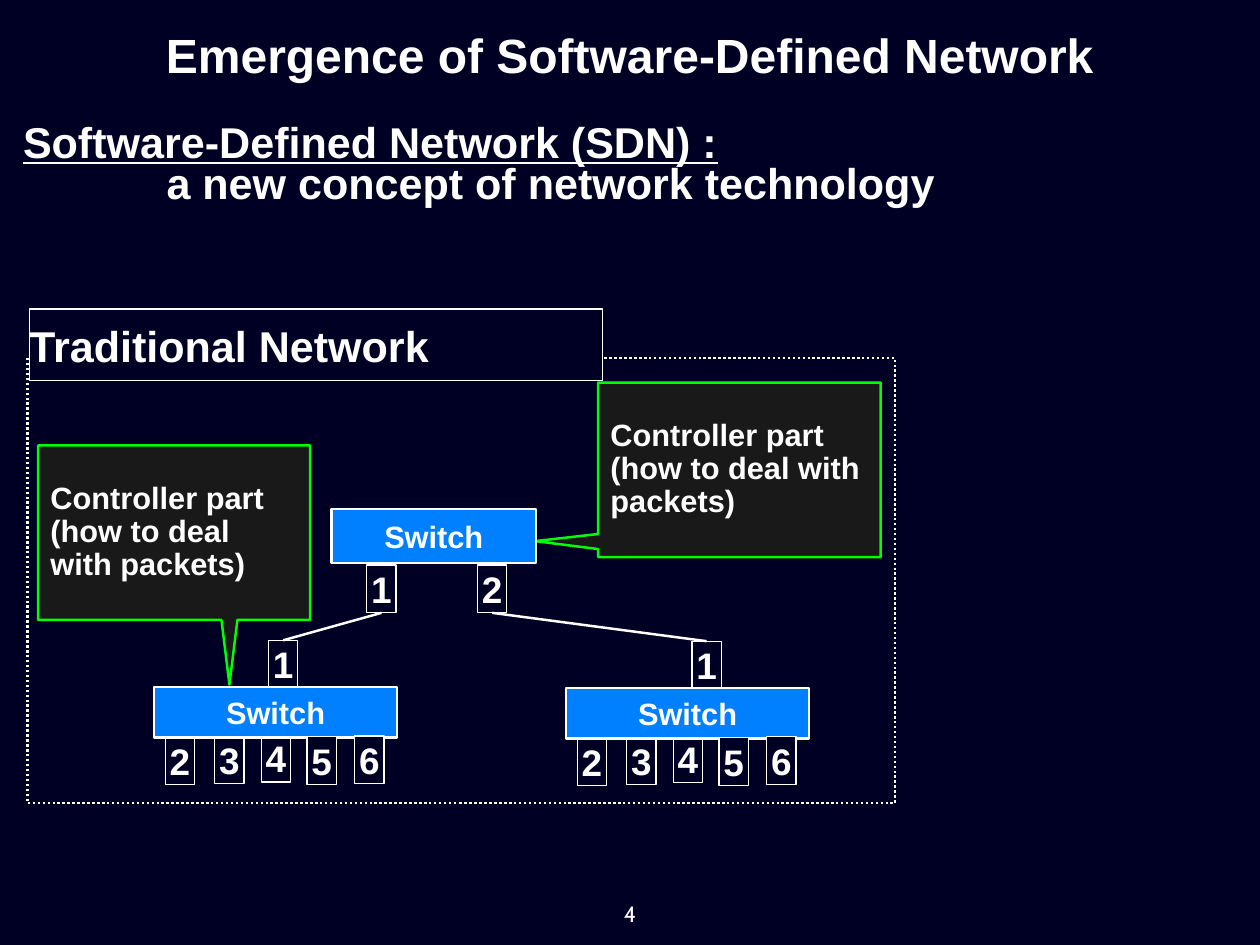
from dataclasses import dataclass

from lxml import etree
from pptx import Presentation
from pptx import util as u
from pptx.dml.color import RGBColor as Rgb
from pptx.enum import dml, shapes, text


@dataclass(frozen=True)
class Theme:
    back: str = "000024"
    box: str = "000025"
    switch: str = "0080FF"
    note: str = "191919"
    edge: str = "00FF00"
    ink: str = "FFFFFF"
    face: str = "Arial"
    title: int = 39
    head: int = 35
    port: int = 30
    body: int = 25
    page: int = 18


T = Theme()
CELL = u.Inches(0.1)  # one grid column or row
COLS, ROWS = 142.2, 106.7
LEFT, MID = text.PP_ALIGN.LEFT, text.PP_ALIGN.CENTER


def grid(*cells):
    return [u.Emu(round(c * CELL)) for c in cells]


def write(shape, lines, size, align=MID, pads=(0, 0, 0, 0), gap=None,
          face=T.face, bold=True, wrap=True):
    """Fill a shape with lines; pads are left, top, right, bottom."""
    frame = shape.text_frame
    frame.word_wrap = wrap
    frame.vertical_anchor = text.MSO_ANCHOR.MIDDLE
    (frame.margin_left, frame.margin_top,
     frame.margin_right, frame.margin_bottom) = grid(*pads)
    frame.text = "\n".join(lines)
    for para in frame.paragraphs:
        para.alignment = align
        if gap:
            para.line_spacing = gap
        font = para.font
        font.name, font.size, font.bold = face, u.Pt(size), bold
        font.color.rgb = Rgb.from_string(T.ink)
    return frame


def paint(shape, fill, line, width):
    shape.shadow.inherit = False
    if fill:
        shape.fill.solid()
        shape.fill.fore_color.rgb = Rgb.from_string(fill)
    else:
        shape.fill.background()
    shape.line.color.rgb = Rgb.from_string(line)
    shape.line.width = u.Pt(width)


def rect(slide, box, fill, width):
    shape = slide.shapes.add_shape(shapes.MSO_SHAPE.RECTANGLE, *grid(*box))
    paint(shape, fill, T.ink, width)
    return shape


def port(slide, num, x, y):
    shape = rect(slide, (x, y, 3.3, 5.4), T.box, 1)
    write(shape, [str(num)], T.port, pads=(0.1,) * 4)
    return shape


def switch(slide, box):
    write(rect(slide, box, T.switch, 2), ["Switch"], T.body)


def root(slide, box):
    """Upper switch; returns its two ports."""
    x, y, w, h = box
    switch(slide, box)
    return [port(slide, num, x + dx, y + h + 0.2)
            for num, dx in ((1, 4), (2, 16.5))]


def leaf(slide, box, up):
    """Lower switch with five ports below; returns the port above it."""
    x, y, w, h = box
    top = port(slide, 1, x + up, y - 5.3)
    for num, dx, dy in ((2, 1.25, 5.6), (3, 6.85, 5.5), (4, 12.1, 5.3)):
        port(slide, num, x + dx, y + dy)
    switch(slide, box)
    for num, dx, dy in ((5, 17.25, 5.6), (6, 22.65, 5.5)):
        port(slide, num, x + dx, y + dy)
    return top


def link(slide, start, end):
    line = slide.shapes.add_connector(shapes.MSO_CONNECTOR.STRAIGHT, 0, 0, 0, 0)
    line.begin_connect(start, 2)
    line.end_connect(end, 0)
    line.line.color.rgb = Rgb.from_string(T.ink)
    line.line.width = u.Pt(2)
    etree.SubElement(
        line._element.spPr,
        "{http://schemas.openxmlformats.org/drawingml/2006/main}effectLst")


def callout(slide, box, tail, side):
    """Box with a pointed tail on its left (side 1) or bottom (side 2)."""
    x, y, w, h = box
    dots = [(x, y), (x, y + h), (x + w, y + h), (x + w, y)]
    tail = [(x + dx, y + dy) for dx, dy in tail]
    dots[side:side] = tail
    pen = slide.shapes.build_freeform(*grid(*dots[0]))
    pen.add_line_segments([grid(*dot) for dot in dots[1:]], close=True)
    shape = pen.convert_to_shape()
    paint(shape, T.note, T.edge, 2)
    # Keep the words inside the box, clear of the tail
    west = max(0, x - min(dot[0] for dot in tail))
    south = max(0, max(dot[1] for dot in tail) - y - h)
    write(shape, ["Controller part", "(how to deal with packets)"], T.body,
          LEFT, (1.4 + west, 1.4, 1.4, 1.4 + south), 0.9)


def header(slide, box):
    x, y, w, h = box
    title = slide.shapes.title
    title.left, title.top, title.width, title.height = grid(x, y, w, 7.5)
    write(title, ["Emergence of Software-Defined Network"], T.title)
    # Lead text
    lead = slide.shapes.add_textbox(*grid(x + 2.6, y + 9.1, 111.9, 14.6))
    frame = write(lead, ["Software-Defined Network (SDN) :",
                         "a new concept of network technology"],
                  T.head, LEFT, gap=0.8)
    first, second = frame.paragraphs
    first.font.underline = True
    second._p.get_or_add_pPr().set("marL", str(round(16.2 * CELL)))


def network(slide, box):
    x, y, w, h = box
    # Controller notes
    callout(slide, (x + 1.2, y + 9.9, 30.7, 19.7),
            [(20.7, 19.7), (21.6, 27), (22.5, 19.7)], 2)
    callout(slide, (x + 64.4, y + 2.8, 31.9, 19.7),
            [(0, 17.1), (-7.1, 17.9), (0, 18.8)], 1)
    # Switches, ports and links
    ports = root(slide, (x + 34.3, y + 17.1, 23.1, 6.1))
    tops = [leaf(slide, (x + 14.3, y + 37.2, 27.4, 5.7), 12.9),
            leaf(slide, (x + 60.8, y + 37.3, 27.4, 5.7), 14.2)]
    for start, end in zip(ports, tops):
        link(slide, start, end)
    # Dotted frame and its label
    frame = rect(slide, box, None, 2)
    frame.line.dash_style = dml.MSO_LINE.ROUND_DOT
    label = rect(slide, (x + 0.2, y - 5.5, 64.7, 8.1), T.box, 1)
    write(label, ["Traditional Network"], T.head, LEFT)


def footer(slide, box):
    page = slide.shapes.add_textbox(*grid(*box))
    write(page, ["4"], T.page, pads=(1, 0.5, 1, 0.5), face="Cabin",
          bold=False, wrap=False)


def main():
    deck = Presentation()
    deck.slide_width, deck.slide_height = grid(COLS, ROWS)
    slide = deck.slides.add_slide(deck.slide_layouts[5])
    slide.background.fill.solid()
    slide.background.fill.fore_color.rgb = Rgb.from_string(T.back)
    header(slide, (0, 2.4, COLS, 23.7))
    network(slide, (3.1, 40.4, 97.9, 50.3))
    footer(slide, (69.2, 101.2, 3.8, 4))
    deck.save("out.pptx")


if __name__ == "__main__":
    main()
